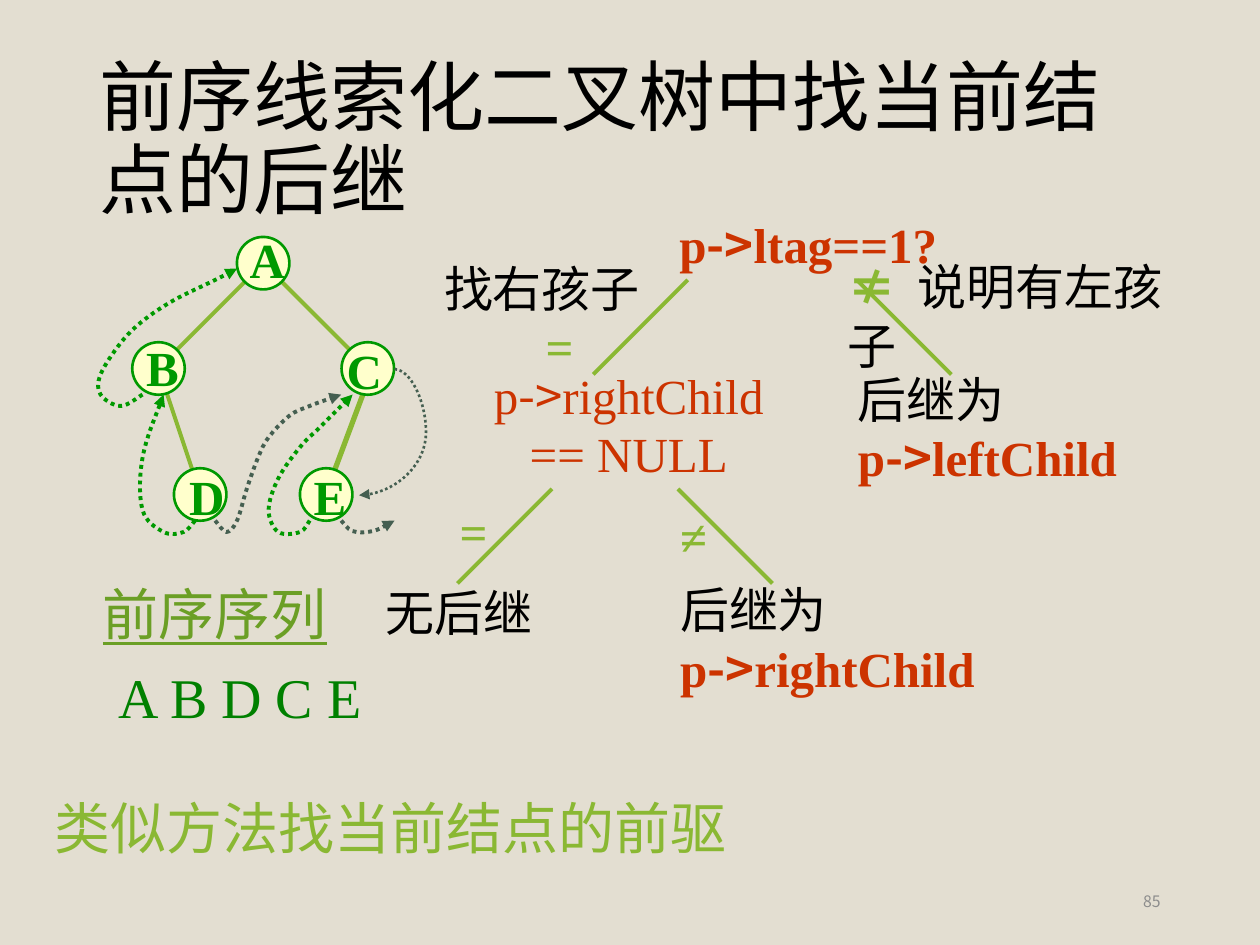
from lxml.etree import SubElement
from pptx import Presentation
from pptx.dml.color import RGBColor
from pptx.enum.dml import MSO_LINE
from pptx.enum.shapes import MSO_CONNECTOR, MSO_SHAPE
from pptx.enum.text import MSO_ANCHOR, MSO_AUTO_SIZE, PP_ALIGN
from pptx.oxml.ns import qn
from pptx.util import Pt

LIME, GREEN, SLATE, RED, BLACK = "8AB833", "009900", "455F51", "CC3300", "000000"
TIMES, NOTO = "Times New Roman", "Noto Sans CJK SC"
LEFT, CENTER, RIGHT = PP_ALIGN.LEFT, PP_ALIGN.CENTER, PP_ALIGN.RIGHT
TOP, MIDDLE = MSO_ANCHOR.TOP, MSO_ANCHOR.MIDDLE

TITLE = "前序线索化二叉树中找当前结点的后继"
NODE_SIZE = 30
# letter: circle left and top, label left, top and width
NODES = {
    "A": (135.4, 135.4, 135.4, 127.4, 34.6),
    "B": (75.6, 195.6, 76.3, 189.4, 33),
    "C": (195.2, 195.6, 190.8, 190.8, 34.6),
    "D": (99.4, 267.6, 100.8, 262.8, 34.6),
    "E": (171.4, 267.6, 172, 262.8, 33),
}
# x and y of both ends, width
EDGES = [
    (207.4, 225.4, 189.4, 273.6, 3),
    (93.6, 219.6, 111.6, 273.6, 2.25),
    (153.4, 153.4, 207.4, 207.4, 2.25),
    (141, 160, 93.6, 207.4, 2.25),
    (393, 160, 339, 214, 2.25),
    (489.6, 160, 543.6, 214, 2.25),
    (315.4, 279.4, 261.4, 333.4, 2.25),
    (387.4, 279.4, 441.4, 333.4, 2.25),
]
# dotted threads: colour, points the smooth curve passes through
THREADS = [
    (SLATE, [(195, 297.5), (201.5, 303.5), (213, 303.5), (225.5, 297.5)]),
    (GREEN, [(177, 297.5), (171.5, 304), (159, 304), (153.5, 291.5), (159, 273.5),
             (171.5, 255.5), (183.5, 243.5), (201.5, 225.5)]),
    (SLATE, [(123, 297.5), (129.5, 304), (135.5, 297.5), (141, 279.5), (147.5, 261.5),
             (153.5, 250), (165.5, 237.5), (177, 232), (195, 225.5)]),
    (GREEN, [(81.5, 225.5), (69, 232), (57.5, 225.5), (57.5, 214), (69, 196),
             (81.5, 183.5), (99.5, 171.5), (123, 160), (135.5, 153.5)]),
    (GREEN, [(111.5, 297.5), (105, 304), (93.5, 304), (81.5, 291.5), (81.5, 261.5),
             (93.5, 225.5)]),
]


def run(text, color=BLACK, bold=False, name=TIMES, underline=False):
    return text, color, bold, name, underline


def pointer(member, bold=True):
    """Runs of p->member, with the arrow in its own font."""
    return [run("p", RED, bold), run("->", RED, bold, NOTO), run(member, RED, bold)]


# box, paragraphs as lists of runs, then what differs from the defaults of add_text
TEXTS = [
    ((51.8, 327.6, 167.8, 93.6),
     [[run("前序序列", "6B9F25", name="Arial", underline=True)], [run("A B D C E", "008000")]],
     dict(size=32, anchor=TOP, indents=(0, 9), gap=9)),
    ((23.8, 450, 648, 45.4), [[run("类似方法找当前结点的前驱", LIME, name=NOTO)]],
     dict(size=32, anchor=TOP, wrap=True)),
    ((380.2, 118.8, 163.4, 41), [pointer("ltag==1?")], dict(align=CENTER)),
    ((234.7, 160.6, 170.6, 41), [[run("找右孩子")], [run("=", LIME, True)]],
     dict(wrap=True, fit=False, indents=(12, 70))),
    ((477.4, 159.8, 211.7, 41), [[run("≠\t", LIME, True), run("说明有左孩子")]],
     dict(wrap=True, fit=False, tab=40)),
    ((267.1, 205.2, 184.3, 74.2), [pointer("rightChild", False), [run("== NULL", RED)]],
     dict(align=CENTER)),
    ((483.1, 207.4, 164.2, 74.2), [[run("后继为")], pointer("leftChild")], {}),
    ((255.6, 283, 30.2, 41), [[run("=", LIME, True)]], {}),
    ((381.6, 285.8, 29.5, 41), [[run("≠", LIME, True)]], dict(align=CENTER)),
    ((213.1, 329, 112.3, 41), [[run("无后继", name=NOTO)]], {}),
    ((381.6, 327.6, 184.3, 74.2), [[run("后继为")], pointer("rightChild")], {}),
    ((508.3, 500.4, 162, 28.8), [[run("85", "8C8C8C", name=NOTO)]],
     dict(size=9, align=RIGHT, wrap=True, fit=False)),
]


def rgb(value):
    return RGBColor.from_string(value)


def points(*values):
    return [Pt(value) for value in values]


def style_font(font, size, color, bold, name, underline):
    font.size, font.bold, font.name = Pt(size), bold, name
    font.color.rgb = rgb(color)
    if underline:
        font.underline = True


def add_text(slide, box, paragraphs, size=28, align=LEFT, anchor=MIDDLE, wrap=False,
             fit=True, indents=(0, 0), gap=0, tab=None):
    frame = slide.shapes.add_textbox(*points(*box)).text_frame
    frame.word_wrap, frame.vertical_anchor = wrap, anchor
    frame.auto_size = MSO_AUTO_SIZE.SHAPE_TO_FIT_TEXT if fit else MSO_AUTO_SIZE.NONE
    for index, (runs, indent) in enumerate(zip(paragraphs, indents)):
        paragraph = frame.paragraphs[0] if index == 0 else frame.add_paragraph()
        paragraph.alignment = align
        if index and gap:
            paragraph.space_before = Pt(gap)
        properties = paragraph._p.get_or_add_pPr()
        if indent:
            properties.set("marL", str(Pt(indent)))
        if tab:
            stops = SubElement(properties, qn("a:tabLst"))
            SubElement(stops, qn("a:tab"), pos=str(Pt(tab)), algn="l")
        for text, *style in runs:
            part = paragraph.add_run()
            part.text = text
            style_font(paragraph.font if len(runs) == 1 else part.font, size, *style)


def style_line(shape, color, width, thread=False):
    """Line colour and width; a thread is dotted and ends in an arrowhead."""
    shape.line.color.rgb, shape.line.width = rgb(color), Pt(width)
    if thread:
        shape.line.dash_style = MSO_LINE.ROUND_DOT
        SubElement(shape.line._get_or_add_ln(), qn("a:tailEnd"), type="triangle")


def add_connector(slide, kind, ends, color, width, thread=False):
    connector = slide.shapes.add_connector(kind, *points(*ends))
    style_line(connector, color, width, thread)
    SubElement(connector._element.spPr, qn("a:effectLst"))
    return connector


def add_thread(slide, color, stops):
    """Smooth curve: each tangent is a sixth of the step between the neighbours."""
    stops = [points(*stop) for stop in stops]
    builder = slide.shapes.build_freeform(*stops[0])
    builder.add_line_segments(stops[1:], close=False)
    shape = builder.convert_to_shape()
    shape.shadow.inherit = False
    shape.fill.background()
    style_line(shape, color, 2.25, thread=True)

    padded = [stops[0], *stops, stops[-1]]
    segments = list(shape._element.iter(qn("a:lnTo")))
    for segment, before, start, end, after in zip(
            segments, padded, padded[1:], padded[2:], padded[3:]):
        controls = [
            [s + (e - b) / 6 for b, s, e in zip(before, start, end)],
            [e - (a - s) / 6 for s, e, a in zip(start, end, after)],
        ]
        segment.tag = qn("a:cubicBezTo")
        for position, (x, y) in enumerate(controls):
            point = SubElement(segment, qn("a:pt"), x=str(round(x - shape.left)),
                               y=str(round(y - shape.top)))
            segment.insert(position, point)


def main():
    presentation = Presentation()
    presentation.slide_width, presentation.slide_height = Pt(720), Pt(540)
    slide = presentation.slides.add_slide(presentation.slide_layouts[5])
    slide.background.fill.solid()
    slide.background.fill.fore_color.rgb = rgb("E3DED1")

    title = slide.shapes.title
    title.left, title.top, title.width, title.height = points(49.7, 28.8, 620.6, 104.4)
    title.text_frame.text = TITLE
    title.text_frame.vertical_anchor = MIDDLE
    paragraph = title.text_frame.paragraphs[0]
    paragraph.alignment, paragraph.line_spacing = LEFT, 0.9
    style_font(paragraph.font, 44, BLACK, False, NOTO, False)

    for *ends, width in EDGES:
        add_connector(slide, MSO_CONNECTOR.STRAIGHT, ends, LIME, width)
    for left, top, *_ in NODES.values():
        circle = slide.shapes.add_shape(
            MSO_SHAPE.OVAL, *points(left, top, NODE_SIZE, NODE_SIZE))
        circle.shadow.inherit = False
        circle.fill.solid()
        circle.fill.fore_color.rgb = rgb("FFFFCC")
        style_line(circle, GREEN, 1.5)
    for color, stops in THREADS:
        add_thread(slide, color, stops)
    bow = add_connector(slide, MSO_CONNECTOR.CURVE, (225.4, 211, 205.2, 283), SLATE, 1.5, True)
    guides = bow._element.spPr.find(qn("a:prstGeom")).get_or_add_avLst()
    SubElement(guides, qn("a:gd"), name="adj1", fmla="val -89400")

    for box, paragraphs, options in TEXTS:
        add_text(slide, box, paragraphs, **options)
    for letter, (_, _, left, top, width) in NODES.items():
        add_text(slide, (left, top, width, 41), [[run(letter, GREEN, True)]], align=CENTER)

    presentation.save("out.pptx")


if __name__ == "__main__":
    main()
